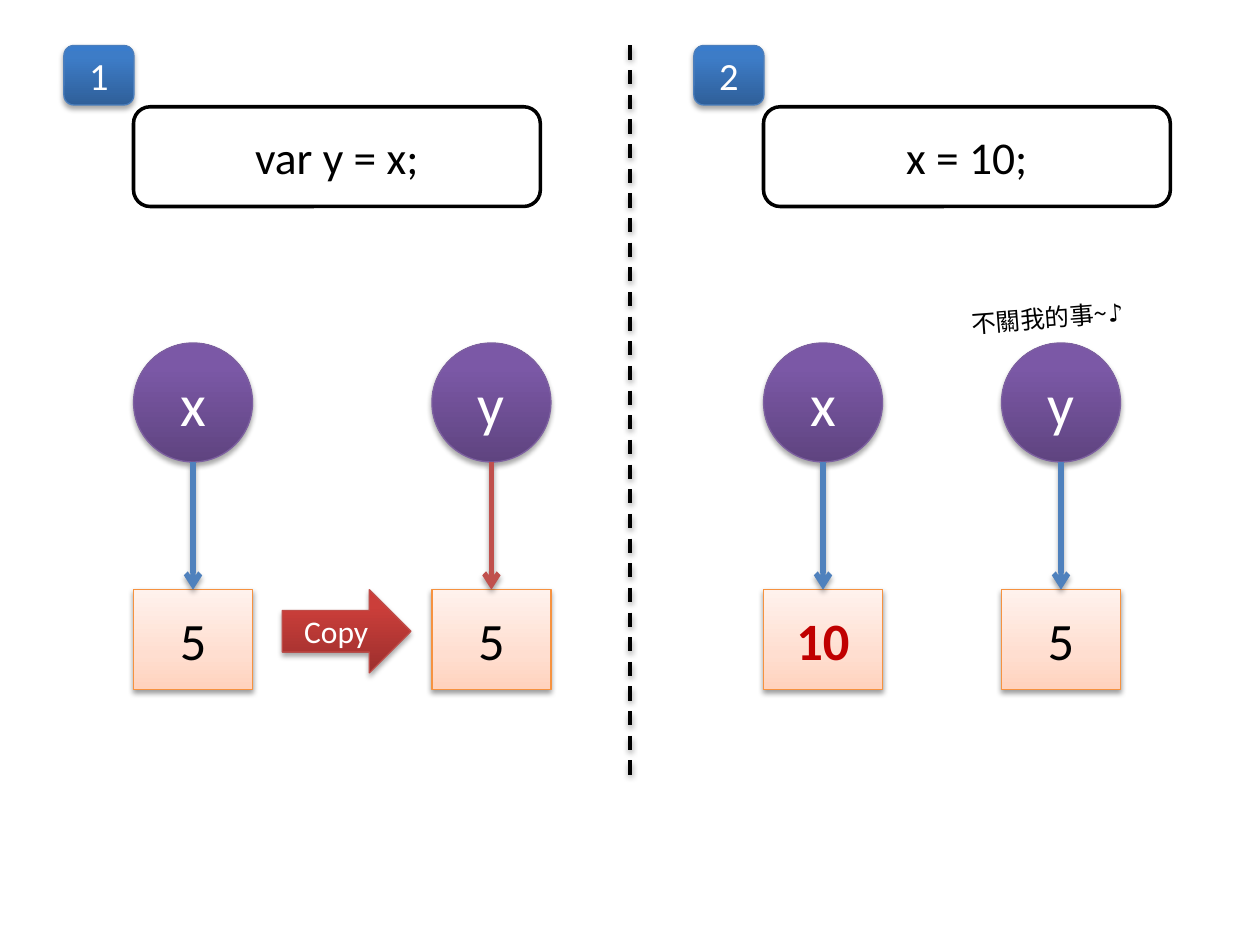
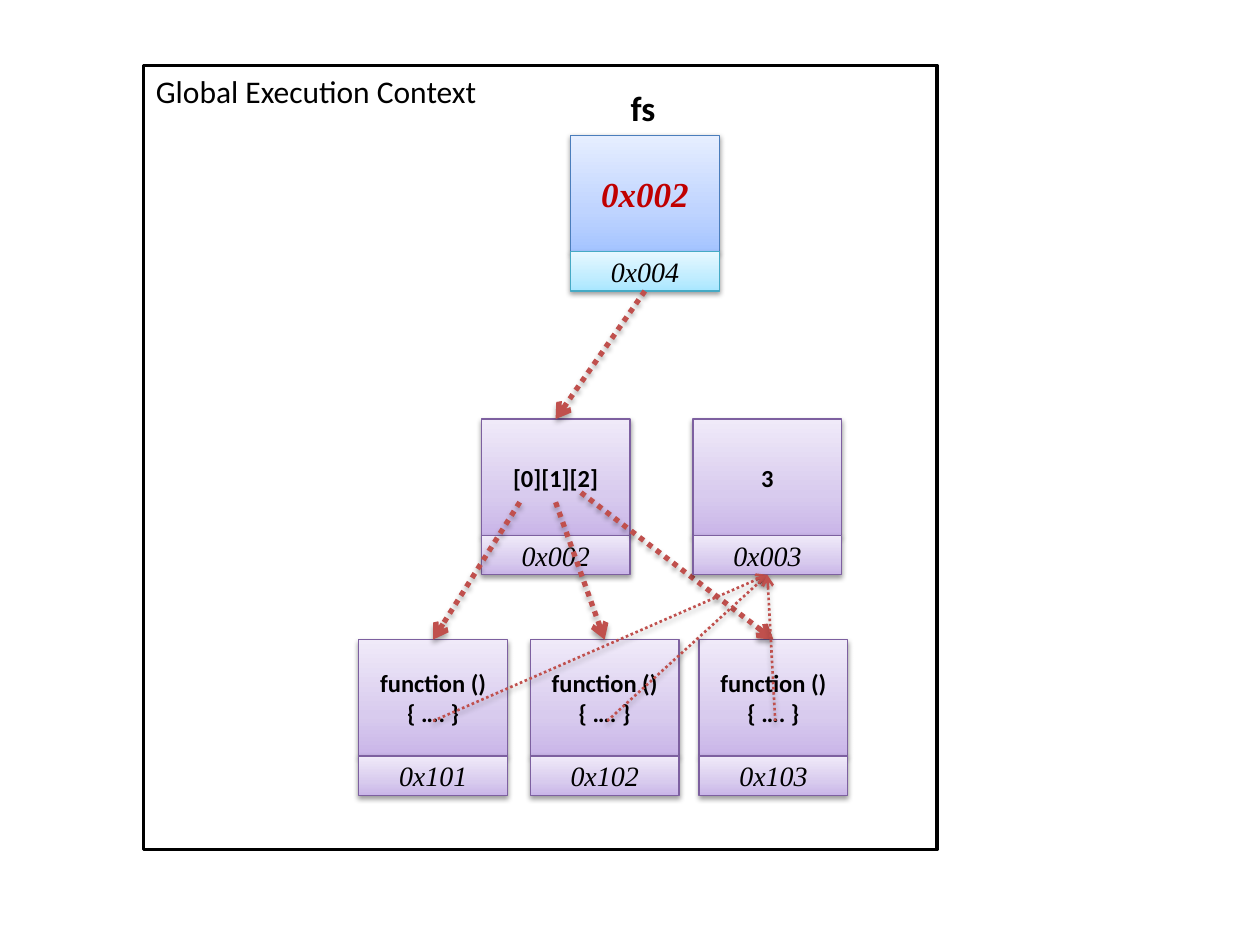
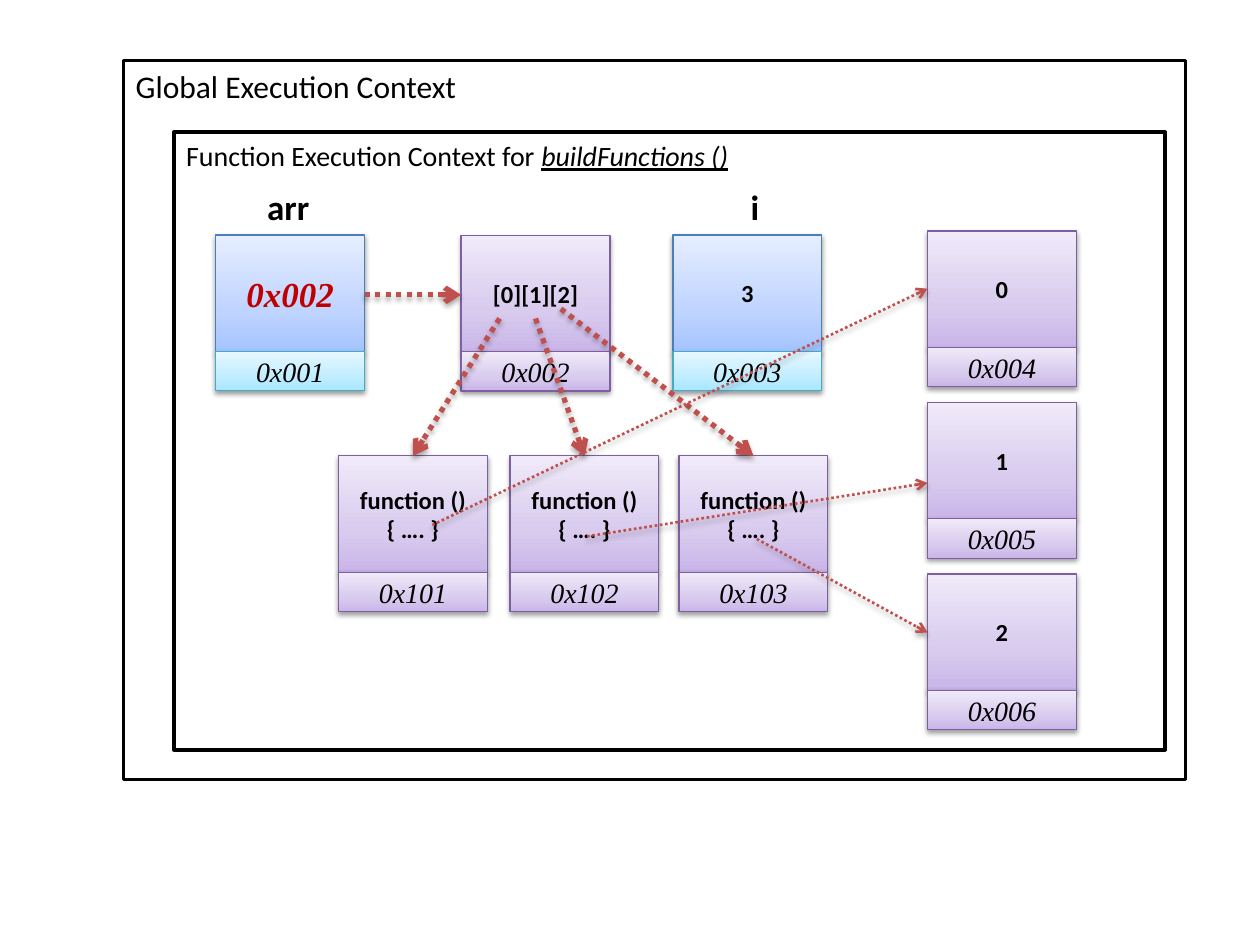
from copy import deepcopy
from dataclasses import dataclass
from typing import NamedTuple, Optional

from lxml.etree import SubElement
from pptx import Presentation
from pptx.dml.color import RGBColor
from pptx.enum.dml import MSO_LINE
from pptx.enum.shapes import MSO_CONNECTOR, MSO_SHAPE
from pptx.enum.text import MSO_ANCHOR, MSO_AUTO_SIZE, PP_ALIGN
from pptx.oxml.ns import qn
from pptx.util import Pt


class Shadow(NamedTuple):
    opacity: int
    distance: float


class Ink(NamedTuple):
    size: float
    color: str = "000000"
    font: str = "Calibri"
    bold: bool = False
    italic: bool = False


class Paint(NamedTuple):
    """Gradient stops run from the bottom of the shape to its top."""
    stops: tuple
    outline: str
    shadow: Shadow


class Stroke(NamedTuple):
    color: str
    width: float
    dash: Optional[MSO_LINE] = None
    arrow: bool = True
    shadow: Shadow = Shadow(35, 1.8)


class Box(NamedTuple):
    left: float
    top: float
    width: float
    height: float


STRONG, SOFT = Shadow(35, 1.8), Shadow(38, 1.6)


@dataclass(frozen=True)
class Theme:
    black: str = "000000"
    white: str = "FFFFFF"
    frame_width: float = 2
    edge_width: float = 0.75
    shadow_blur: float = 3.1

    violet: Paint = Paint(((0, "5F4480"), (80, "7B58A6"), (100, "7C57A8")), "7D60A0", STRONG)
    navy: Paint = Paint(((0, "2F5F99"), (80, "3D7CC7"), (100, "3A7CCB")), "4B7EBC", STRONG)
    crimson: Paint = Paint(((0, "9C2F2D"), (80, "CB3E3A"), (100, "CE3B37")), "BF4C48", STRONG)
    peach: Paint = Paint(((0, "FFD2BD"), (35, "FFDED0"), (100, "FFF2ED")), "F69240", SOFT)
    lilac: Paint = Paint(((0, "C9B5E8"), (35, "D8CBEE"), (100, "F0EAF9")), "7D60A0", SOFT)
    sky: Paint = Paint(((0, "A4C4FF"), (35, "BFD4FF"), (100, "E6EEFF")), "4B7EBC", SOFT)
    aqua: Paint = Paint(((0, "A7E6FF"), (35, "C1EDFF"), (100, "E7F8FF")), "46AAC5", SOFT)

    variable: Ink = Ink(34, "FFFFFF")
    value: Ink = Ink(30)
    changed_value: Ink = Ink(30, "C00000", bold=True)
    statement: Ink = Ink(26)
    step: Ink = Ink(22, "FFFFFF")
    copy_label: Ink = Ink(18, "FFFFFF")
    remark: Ink = Ink(14, font="Noto Sans CJK SC")
    note: Ink = Ink(14)
    context: Ink = Ink(18)
    inner_context: Ink = Ink(16)
    cell: Ink = Ink(14, bold=True)
    address: Ink = Ink(16, font="Times New Roman", italic=True)
    reference: Ink = Ink(20, "C00000", "Times New Roman", True, True)
    name: Ink = Ink(20, bold=True)

    holds: Stroke = Stroke("4F81BD", 3)
    copied: Stroke = Stroke("C0504D", 3)
    points_to: Stroke = Stroke("C0504D", 3, MSO_LINE.ROUND_DOT)
    looks_up: Stroke = Stroke("C0504D", 1.5, MSO_LINE.ROUND_DOT)
    divider: Stroke = Stroke("000000", 2, MSO_LINE.DASH, False, SOFT)


THEME = Theme()


@dataclass(frozen=True)
class Cell:
    """A memory cell: its content above its address, with an optional name on top."""
    left: float
    top: float
    content: str
    address: str
    paint: Paint = THEME.lilac
    address_paint: Paint = THEME.lilac
    ink: Ink = THEME.cell
    name: str = ""
    name_width: float = 108

    WIDTH = 85
    BODY = 66.5
    FOOT = 22.5

    @property
    def center(self) -> float:
        return self.left + self.WIDTH / 2

    @property
    def top_center(self) -> tuple:
        return self.center, self.top

    @property
    def bottom_center(self) -> tuple:
        return self.center, self.top + self.BODY + self.FOOT


@dataclass(frozen=True)
class Panel:
    left: float
    step: str
    statement: str
    x_value: str
    x_ink: Ink
    y_offset: float
    y_stroke: Stroke


def rgb(color: str) -> RGBColor:
    return RGBColor.from_string(color)


def points(*lengths: float) -> list:
    return [Pt(length) for length in lengths]


def style_run(run, ink: Ink) -> None:
    font = run.font
    font.size, font.name = Pt(ink.size), ink.font
    font.bold, font.italic = ink.bold, ink.italic
    font.color.rgb = rgb(ink.color)
    SubElement(font._element, qn("a:ea"), typeface=ink.font)


def write(shape, text: str, ink: Ink, align=PP_ALIGN.CENTER, anchor=MSO_ANCHOR.MIDDLE) -> None:
    frame = shape.text_frame
    frame.text, frame.word_wrap, frame.vertical_anchor = text, True, anchor
    paragraph = frame.paragraphs[0]
    paragraph.alignment = align
    for run in paragraph.runs:
        style_run(run, ink)


def add_shadow(properties, shadow: Shadow) -> None:
    effects = properties.find(qn("a:effectLst"))
    if effects is None:
        effects = SubElement(properties, qn("a:effectLst"))
    outer = SubElement(effects, qn("a:outerShdw"), blurRad=str(Pt(THEME.shadow_blur)),
                       dist=str(Pt(shadow.distance)), dir="5400000", rotWithShape="0")
    color = SubElement(outer, qn("a:srgbClr"), val=THEME.black)
    SubElement(color, qn("a:alpha"), val=str(shadow.opacity * 1000))


def add_painted(shapes, kind: MSO_SHAPE, box: Box, paint: Paint, text: str, ink: Ink) -> None:
    shape = shapes.add_shape(kind, *points(*box))
    shape.fill.gradient()
    shape.fill.gradient_angle = 90
    stop_list = shape._element.spPr.find(".//" + qn("a:gsLst"))
    stop_list.append(deepcopy(stop_list[0]))
    for stop, (percent, color) in zip(shape.fill.gradient_stops, paint.stops):
        stop.position = percent / 100
        stop.color.rgb = rgb(color)
    shape.line.color.rgb = rgb(paint.outline)
    shape.line.width = Pt(THEME.edge_width)
    shape.shadow.inherit = False
    add_shadow(shape._element.spPr, paint.shadow)
    write(shape, text, ink)


def add_outlined(slide, kind: MSO_SHAPE, box: Box):
    shape = slide.shapes.add_shape(kind, *points(*box))
    shape.fill.solid()
    shape.fill.fore_color.rgb = rgb(THEME.white)
    shape.line.color.rgb = rgb(THEME.black)
    shape.line.width = Pt(THEME.frame_width)
    shape.shadow.inherit = False
    return shape


def add_context(slide, box: Box, title: str, ink: Ink):
    context = add_outlined(slide, MSO_SHAPE.RECTANGLE, box)
    write(context, title, ink, PP_ALIGN.LEFT, MSO_ANCHOR.TOP)
    return context


def add_label(shapes, box: Box, text: str, ink: Ink, align=PP_ALIGN.CENTER):
    label = shapes.add_textbox(*points(*box))
    write(label, text, ink, align, MSO_ANCHOR.TOP)
    label.text_frame.auto_size = MSO_AUTO_SIZE.SHAPE_TO_FIT_TEXT
    return label


def add_stroke(slide, start: tuple, end: tuple, stroke: Stroke) -> None:
    connector = slide.shapes.add_connector(MSO_CONNECTOR.STRAIGHT, *points(*start, *end))
    line = connector.line
    line.color.rgb = rgb(stroke.color)
    line.width = Pt(stroke.width)
    if stroke.dash is not None:
        line.dash_style = stroke.dash
    properties = connector._element.spPr
    if stroke.arrow:
        SubElement(properties.find(qn("a:ln")), qn("a:tailEnd"), type="arrow")
    add_shadow(properties, stroke.shadow)


def add_cell(slide, cell: Cell) -> None:
    shapes = slide.shapes.add_group_shape().shapes
    body = Box(cell.left, cell.top, cell.WIDTH, cell.BODY)
    foot = Box(cell.left, cell.top + cell.BODY, cell.WIDTH, cell.FOOT)
    add_painted(shapes, MSO_SHAPE.RECTANGLE, body, cell.paint, cell.content, cell.ink)
    add_painted(shapes, MSO_SHAPE.RECTANGLE, foot, cell.address_paint, cell.address, THEME.address)
    if cell.name:
        name_box = Box(cell.left - 12.5, cell.top - 31.7, cell.name_width, 31.5)
        add_label(shapes, name_box, cell.name, THEME.name)


def variable_cell(left: float, top: float, content: str, address: str, name: str,
                  ink: Ink = THEME.reference, name_width: float = 108) -> Cell:
    return Cell(left, top, content, address, THEME.sky, THEME.aqua, ink, name, name_width)


def add_function_array(slide, left: float, top: float) -> Cell:
    """Draws the array with the three functions its items point to."""
    array = Cell(left, top, "[0][1][2]", "0x002")
    add_cell(slide, array)
    functions = [Cell(left + shift, top + 126, "function ()\v{ …. }", f"0x10{number}")
                 for number, shift in enumerate((-70, 28, 124.5), start=1)]
    for function in functions:
        add_cell(slide, function)
    for function, (dx, dy) in zip(functions, ((22, 47.5), (42.5, 47.5), (57, 42))):
        add_stroke(slide, (left + dx, top + dy), function.top_center, THEME.points_to)
    return array


def add_variable(slide, left: float, name: str, value: str, ink: Ink, stroke: Stroke) -> None:
    circle, top, value_top = 68, 196, 337
    add_painted(slide.shapes, MSO_SHAPE.OVAL, Box(left, top, circle, circle),
                THEME.violet, name, THEME.variable)
    add_painted(slide.shapes, MSO_SHAPE.RECTANGLE, Box(left, value_top, circle, 57),
                THEME.peach, value, ink)
    center = left + circle / 2
    add_stroke(slide, (center, top + circle), (center, value_top), stroke)


def add_panel(slide, panel: Panel) -> None:
    inner = panel.left + 76.3
    statement = add_outlined(slide, MSO_SHAPE.ROUNDED_RECTANGLE, Box(inner, 61, 232.5, 57))
    write(statement, panel.statement, THEME.statement)
    add_painted(slide.shapes, MSO_SHAPE.FLOWCHART_ALTERNATE_PROCESS,
                Box(panel.left + 36.5, 26, 40, 34), THEME.navy, panel.step, THEME.step)
    add_variable(slide, inner, "x", panel.x_value, panel.x_ink, THEME.holds)
    add_variable(slide, inner + panel.y_offset, "y", "5", THEME.value, panel.y_stroke)


def build_copy_by_value(slide) -> None:
    add_panel(slide, Panel(0, "1", "var y = x;", "5", THEME.value, 170.5, THEME.copied))
    add_panel(slide, Panel(360, "2", "x = 10;", "10", THEME.changed_value, 136, THEME.holds))
    add_painted(slide.shapes, MSO_SHAPE.RIGHT_ARROW, Box(161.3, 337, 73.5, 47.5),
                THEME.crimson, "Copy", THEME.copy_label)
    remark = add_label(slide.shapes, Box(548, 168.5, 128, 24.5), "不關我的事~",
                       THEME.remark, PP_ALIGN.LEFT)
    remark.rotation = -4.3
    music = remark.text_frame.paragraphs[0].add_run()
    music.text = "♪"
    style_run(music, THEME.note)
    add_stroke(slide, (360, 26), (360, 445.7), THEME.divider)


def build_after_return(slide) -> None:
    add_context(slide, Box(82, 37.5, 453.5, 448), "Global Execution Context", THEME.context)
    array = add_function_array(slide, 275, 239.5)
    counter = Cell(396, 239.5, "3", "0x003")
    add_cell(slide, counter)
    for start_x in (247.5, 347, 443):
        add_stroke(slide, (start_x, 412), counter.bottom_center, THEME.looks_up)
    fs = variable_cell(326, 77.3, "0x002", "0x004", "fs")
    add_cell(slide, fs)
    add_stroke(slide, fs.bottom_center, array.top_center, THEME.points_to)


def build_inside_call(slide) -> None:
    add_context(slide, Box(70.5, 34.5, 607, 411), "Global Execution Context", THEME.context)
    call = add_context(slide, Box(99.3, 75.5, 566.5, 353), "Function Execution Context for ",
                       THEME.inner_context)
    function_name = call.text_frame.paragraphs[0].add_run()
    function_name.text = "buildFunctions ()"
    style_run(function_name, THEME.inner_context._replace(italic=True))
    function_name.font.underline = True

    arr = variable_cell(123.3, 134.3, "0x002", "0x001", "arr")
    add_cell(slide, arr)
    add_cell(slide, variable_cell(384.5, 134.3, "3", "0x003", "i", THEME.cell, 119))
    array = add_function_array(slide, 263.5, 134.5)
    add_stroke(slide, (arr.left + arr.WIDTH, 168.5), (array.left, 168.5), THEME.points_to)

    numbers_left = 530
    lookups = (((247, 300), 165), ((335.5, 306.5), 276), ((432.5, 308), 361.5))
    for number, (start, end_y) in enumerate(lookups):
        add_cell(slide, Cell(numbers_left, 132 + 98 * number, str(number), f"0x00{number + 4}"))
        add_stroke(slide, start, (numbers_left, end_y), THEME.looks_up)


def main() -> None:
    deck = Presentation()
    deck.slide_width, deck.slide_height = Pt(720), Pt(540)
    blank = deck.slide_layouts[6]
    for build in (build_copy_by_value, build_after_return, build_inside_call):
        build(deck.slides.add_slide(blank))
    deck.save("out.pptx")


if __name__ == "__main__":
    main()
